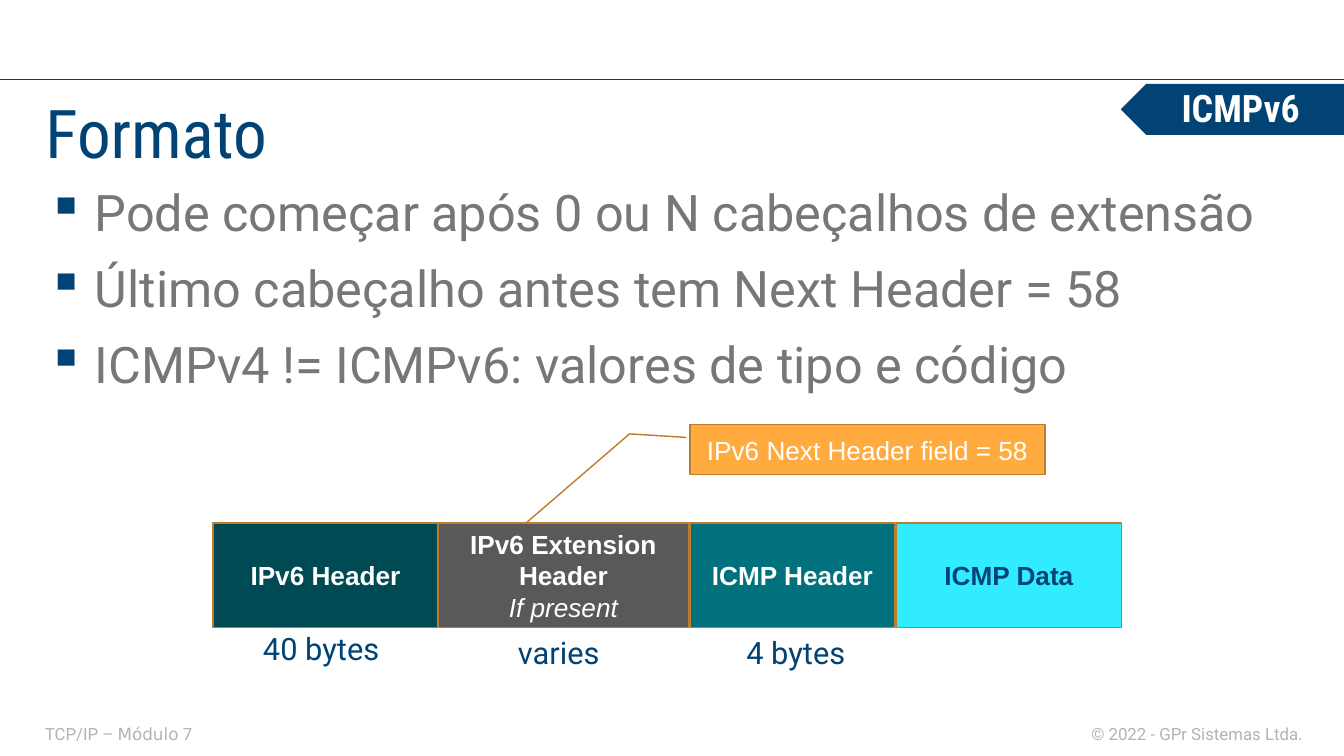
from dataclasses import dataclass

from lxml.etree import SubElement
from pptx import Presentation
from pptx.dml.color import RGBColor
from pptx.enum.shapes import MSO_CONNECTOR as Connector, MSO_SHAPE as Shape
from pptx.enum.text import MSO_ANCHOR as Anchor, MSO_AUTO_SIZE as AutoSize, PP_ALIGN as Align
from pptx.oxml.ns import qn
from pptx.util import Inches, Pt

COLORS = {
    "navy": "014374", "body": "777777", "footer": "B3B3B3", "white": "FFFFFF",
    "outline": "BC7D2C", "ipv6": "004B53", "extension": "595959",
    "icmp": "00717D", "data": "31EBFF", "callout": "FFAB40",
}
BULLETS = [
    "Pode começar após 0 ou N cabeçalhos de extensão",
    "Último cabeçalho antes tem Next Header = 58",
    "ICMPv4 != ICMPv6: valores de tipo e código",
]
# Left and width in % of the packet, fill, text color, name, remark
FIELDS = [
    (0, 24.75, "ipv6", "white", "IPv6 Header", None),
    (24.81, 27.52, "extension", "white", "IPv6 Extension Header", "If present"),
    (52.5, 22.59, "icmp", "white", "ICMP Header", None),
    (75.25, 24.75, "data", "navy", "ICMP Data", None),
]
# Left and top in % of the packet, field length
LENGTHS = [(4.94, 78.25, "40 bytes"), (33.02, 79.61, "varies"), (58.16, 79.61, "4 bytes")]


@dataclass
class Box:
    left: float
    top: float
    width: float
    height: float

    def inner(self, x, y, w, h):
        """Inner box, given in percent of this one."""
        return Box(self.left + self.width * x / 100, self.top + self.height * y / 100,
                   self.width * w / 100, self.height * h / 100)

    def emu(self):
        return [Inches(v) for v in (self.left, self.top, self.width, self.height)]


def color(name):
    return RGBColor.from_string(COLORS[name])


def style(font, size, face, tint, bold=False, italic=False):
    font.size, font.name, font.bold, font.italic = Pt(size), face, bold, italic
    font.color.rgb = color(tint)


def set_frame(frame, anchor=Anchor.TOP, inset=None):
    frame.word_wrap = True
    frame.auto_size = AutoSize.NONE
    frame.vertical_anchor = anchor
    if inset is not None:
        frame.margin_left = frame.margin_right = Inches(inset)
        frame.margin_top = frame.margin_bottom = Inches(inset)


def add_text(slide, box, text, size, face, tint, align=Align.LEFT, bold=False,
             anchor=Anchor.TOP, inset=None):
    frame = slide.shapes.add_textbox(*box.emu()).text_frame
    set_frame(frame, anchor, inset)
    paragraph = frame.paragraphs[0]
    paragraph.text, paragraph.alignment = text, align
    style(paragraph.font, size, face, tint, bold)
    return paragraph


def add_block(slide, preset, box, fill, outline, width):
    block = slide.shapes.add_shape(preset, *box.emu())
    block.shadow.inherit = False
    block.fill.solid()
    block.fill.fore_color.rgb = color(fill)
    block.line.color.rgb = color(outline)
    block.line.width = Pt(width)
    return block


def write_block(block, lines, tint):
    """Fill a block with centred lines of (text, bold, italic)."""
    frame = block.text_frame
    set_frame(frame, Anchor.MIDDLE)
    for i, (text, bold, italic) in enumerate(lines):
        paragraph = frame.add_paragraph() if i else frame.paragraphs[0]
        paragraph.text, paragraph.alignment = text, Align.CENTER
        style(paragraph.font, 37.4, "Arial", tint, bold, italic)


def add_rule(slide, box):
    x, y, w, _ = box.emu()
    rule = slide.shapes.add_connector(Connector.STRAIGHT, x, y, x + w, y)
    rule.line.color.rgb = color("navy")
    rule.line.width = Pt(2)
    SubElement(rule._element.spPr, qn("a:effectLst"))


def add_footer(slide, box):
    look = dict(size=24, face="Roboto", tint="footer", anchor=Anchor.MIDDLE, inset=0.06)
    course = add_text(slide, box.inner(0, 0, 76.08, 100), "TCP/IP – ", **look)
    module = course.add_run()
    module.text, module.font.name = "Módulo", "DejaVu Sans"
    course.add_run().text = " 7"
    add_text(slide, box.inner(78.75, 0, 21.25, 100), "© 2022 - GPr Sistemas Ltda.",
             align=Align.RIGHT, **look)


def add_title(slide, box, text):
    title = slide.shapes.title
    title.left, title.top, title.width, title.height = box.emu()
    set_frame(title.text_frame, inset=0.06)
    paragraph = title.text_frame.paragraphs[0]
    paragraph.text, paragraph.alignment = text, Align.LEFT
    style(paragraph.font, 96, "Roboto Condensed", "navy")


def add_bullets(slide, box, items):
    frame = slide.shapes.add_textbox(*box.emu()).text_frame
    set_frame(frame)
    for i, item in enumerate(items):
        paragraph = frame.add_paragraph() if i else frame.paragraphs[0]
        paragraph.text = item
        paragraph.line_spacing = 1.2
        paragraph.space_before = Pt(5 if i else 0)
        props = paragraph._p.get_or_add_pPr()
        props.set("marL", str(Inches(0.94)))
        props.set("indent", str(-Inches(0.94)))
        tint = SubElement(props, qn("a:buClr"))
        SubElement(tint, qn("a:srgbClr")).set("val", COLORS["navy"])
        SubElement(props, qn("a:buChar")).set("char", "▪")
        style(paragraph.font, 72, "Roboto", "body")


def add_tag(slide, box, text):
    arrow = add_block(slide, Shape.PENTAGON, box, "navy", "navy", 1)
    arrow.rotation = 180
    add_text(slide, box.inner(16.5, -4, 74.2, 102), text, 54, "Roboto Condensed", "white",
             Align.CENTER, True, Anchor.MIDDLE, 0.06)


def add_packet(slide, box):
    # Header fields
    for x, w, fill, tint, name, remark in FIELDS:
        field = add_block(slide, Shape.RECTANGLE, box.inner(x, 38.06, w, 40.19),
                          fill, "outline", 2)
        lines = [(name, True, False)]
        if remark:
            lines.append((remark, False, True))
        write_block(field, lines, tint)
    # Field lengths
    for x, y, length in LENGTHS:
        add_text(slide, box.inner(x, y, 14.15, 20.39), length, 44, "Roboto", "navy")
    # Callout, its leader as y, x shares of the callout
    callout = add_block(slide, Shape.LINE_CALLOUT_2, box.inner(52.5, 0, 39.12, 19.42),
                        "callout", "outline", 2)
    for i, share in enumerate((0.26, -0.01, 0.19, -0.17, 1.95, -0.46)):
        callout.adjustments[i] = share
    write_block(callout, [("IPv6 Next Header field = 58", False, False)], "white")


def main():
    prs = Presentation()
    page = Box(0, 0, 26.67, 15)
    prs.slide_width, prs.slide_height = Inches(page.width), Inches(page.height)
    slide = prs.slides.add_slide(prs.slide_layouts[5])

    add_rule(slide, page.inner(0, 10.53, 100, 0))
    add_footer(slide, page.inner(3.11, 95.27, 94.04, 3.47))
    add_bullets(slide, page.inner(3.15, 22, 93.78, 32), BULLETS)
    add_title(slide, page.inner(3.15, 11.67, 93.78, 12), "Formato")
    add_tag(slide, page.inner(83.43, 11.13, 16.57, 6.67), "ICMPv6")
    add_packet(slide, page.inner(15.86, 56.13, 67.57, 34.33))
    prs.save("out.pptx")


if __name__ == "__main__":
    main()
